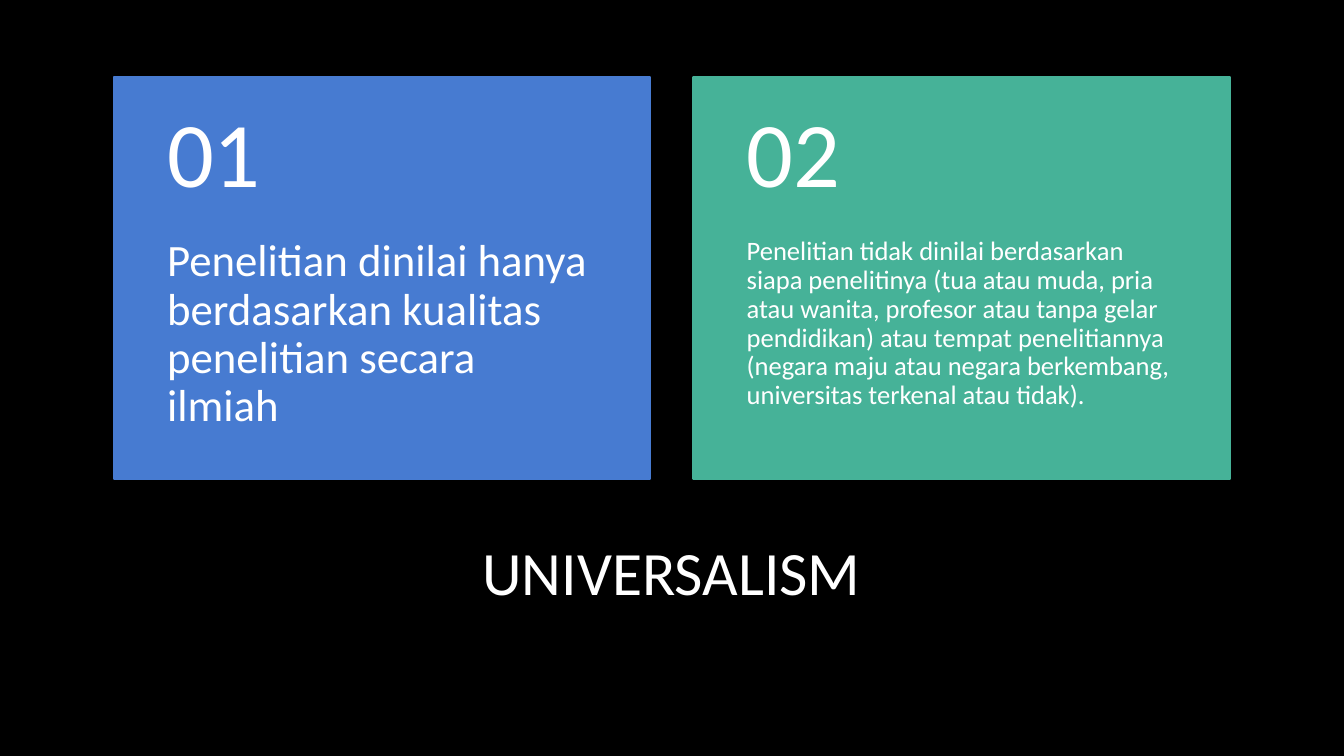
from pptx import Presentation
from pptx.dml.color import RGBColor
from pptx.enum.shapes import MSO_SHAPE
from pptx.enum.text import MSO_ANCHOR, PP_ALIGN
from pptx.util import Pt

RECT = MSO_SHAPE.RECTANGLE
TOP, MIDDLE = MSO_ANCHOR.TOP, MSO_ANCHOR.MIDDLE
LEFT, CENTER = PP_ALIGN.LEFT, PP_ALIGN.CENTER
COLORS = {"back": "000000", "text": "FFFFFF", "blue": "477BD1", "green": "46B298"}

EDGE, PITCH = 81.36, 414
CARD_TOP, CARD_WIDE, CARD_HIGH, HEAD_HIGH = 54.72, 383.04, 287.28, 115.2
CARDS = [
    ("blue", 32, "Penelitian dinilai hanya berdasarkan kualitas penelitian secara ilmiah"),
    ("green", 19, "Penelitian tidak dinilai berdasarkan siapa penelitinya (tua atau muda, "
     "pria atau wanita, profesor atau tanpa gelar pendidikan) atau tempat penelitiannya "
     "(negara maju atau negara berkembang, universitas terkenal atau tidak)."),
]


class Deck:
    font = "Calibri"

    def __init__(self):
        self.show = Presentation()
        self.show.slide_width, self.show.slide_height = Pt(960), Pt(540)
        self.slide = self.show.slides.add_slide(self.show.slide_layouts[5])
        fill = self.slide.background.fill
        fill.solid()
        fill.fore_color.rgb = self.color("back")

    def color(self, name):
        return RGBColor.from_string(COLORS[name])

    def set_text(self, shape, text, size, align, anchor):
        frame = shape.text_frame
        frame.word_wrap = True
        frame.vertical_anchor = anchor
        para = frame.paragraphs[0]
        para.text = text
        para.alignment = align
        para.font.name = self.font
        para.font.size = Pt(size)
        para.font.color.rgb = self.color("text")
        return frame, para

    def title(self, text, left, top, wide, high):
        shape = self.slide.shapes.title
        shape.left, shape.top = Pt(left), Pt(top)
        shape.width, shape.height = Pt(wide), Pt(high)
        self.set_text(shape, text, 44, CENTER, MIDDLE)

    def panel(self, color, left, top, wide, high):
        shape = self.slide.shapes.add_shape(RECT, Pt(left), Pt(top), Pt(wide), Pt(high))
        shape.shadow.inherit = False
        shape.fill.solid()
        shape.fill.fore_color.rgb = self.color(color)
        shape.line.color.rgb = self.color(color)
        shape.line.width = Pt(1.5)

    def label(self, text, size, left, top, wide, high, anchor, above, below):
        shape = self.slide.shapes.add_textbox(Pt(left), Pt(top), Pt(wide), Pt(high))
        frame, para = self.set_text(shape, text, size, LEFT, anchor)
        frame.margin_left = frame.margin_right = Pt(38)
        frame.margin_top, frame.margin_bottom = Pt(above), Pt(below)
        para.line_spacing = 0.9

    def card(self, index, color, size, text):
        left = EDGE + index * PITCH
        self.panel(color, left, CARD_TOP, CARD_WIDE, CARD_HIGH)
        self.label(text, size, left, CARD_TOP + HEAD_HIGH, CARD_WIDE,
                   CARD_HIGH - HEAD_HIGH, TOP, 0, 26)
        self.label(f"{index + 1:02}", 66, left, CARD_TOP, CARD_WIDE,
                   HEAD_HIGH, MIDDLE, 13, 13)


def main():
    deck = Deck()
    deck.title("UNIVERSALISM", EDGE, 360, PITCH + CARD_WIDE, 95.76)
    for index, card in enumerate(CARDS):
        deck.card(index, *card)
    deck.show.save("out.pptx")


if __name__ == "__main__":
    main()
